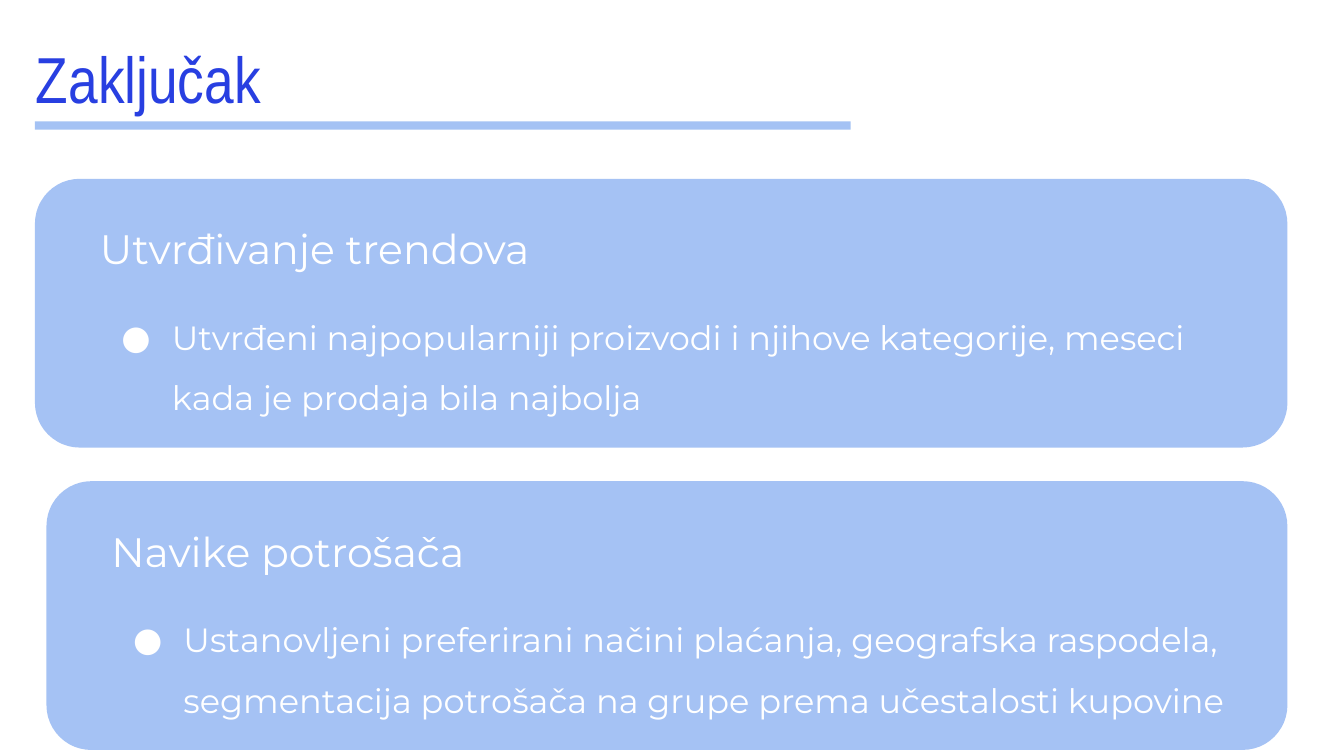
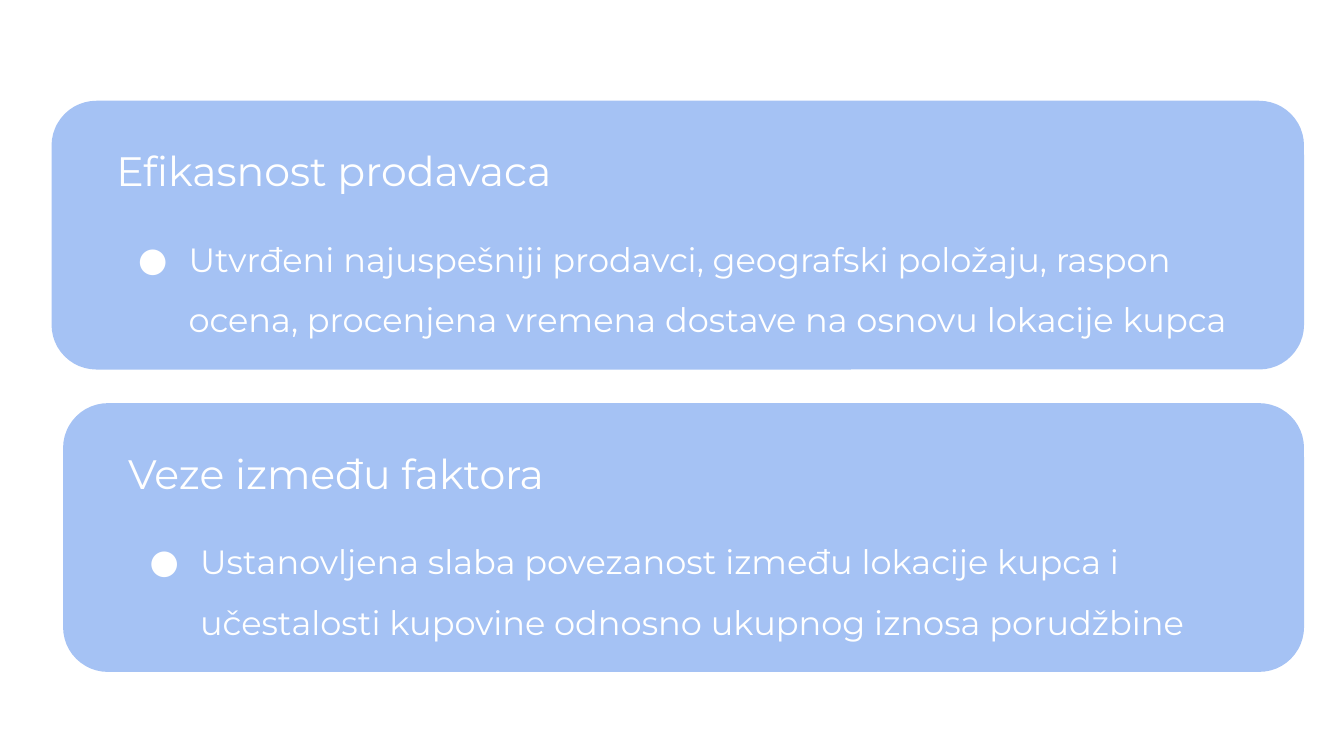
import pptx
import pptx.util
import pptx.dml.color
import pptx.enum.shapes
import pptx.enum.text
import pptx.oxml.ns
import lxml.etree

Pt = pptx.util.Pt
RGBColor = pptx.dml.color.RGBColor
SHAPES = pptx.enum.shapes.MSO_SHAPE

BLUE = RGBColor(0x28, 0x3F, 0xE1)
RULE = RGBColor(0xA4, 0xC2, 0xF4)
PANEL = RGBColor(0xA5, 0xC2, 0xF4)
WHITE = RGBColor(0xFF, 0xFF, 0xFF)

# Card layout: the second card sits lower and slightly indented
HIGH = 144
STEP = 162
SHIFT = 6.2
WIDE = 671


class Deck:
    """Holds the style and the current slide."""

    def __init__(self):
        self.prs = pptx.Presentation()
        self.prs.slide_width = Pt(720)
        self.prs.slide_height = Pt(405)
        self.slide = None

    def page(self):
        self.slide = self.prs.slides.add_slide(self.prs.slide_layouts[6])

    def block(self, kind, left, top, width, height, color):
        shape = self.slide.shapes.add_shape(
            kind, Pt(left), Pt(top), Pt(width), Pt(height))
        shape.shadow.inherit = False
        shape.fill.solid()
        shape.fill.fore_color.rgb = color
        shape.line.fill.background()
        return shape

    def text(self, words, left, top, width, height, size,
             font="Montserrat", color=WHITE, bullet=False):
        box = self.slide.shapes.add_textbox(
            Pt(left), Pt(top), Pt(width), Pt(height))
        frame = box.text_frame
        frame.word_wrap = True
        frame.margin_left = frame.margin_right = Pt(7.2)
        frame.margin_top = frame.margin_bottom = Pt(7.2)
        frame.text = words
        para = frame.paragraphs[0]
        if bullet:
            frame.auto_size = pptx.enum.text.MSO_AUTO_SIZE.SHAPE_TO_FIT_TEXT
            self.bullet(para)
        run = para.runs[0].font
        run.name, run.size, run.color.rgb = font, Pt(size), color

    def bullet(self, para):
        para.line_spacing = 1.5
        props = para._p.get_or_add_pPr()
        props.set("marL", str(Pt(36)))
        props.set("indent", str(-Pt(27)))
        name = pptx.oxml.ns.qn
        tint = lxml.etree.SubElement(props, name("a:buClr"))
        lxml.etree.SubElement(tint, name("a:srgbClr"), val=str(WHITE))
        lxml.etree.SubElement(props, name("a:buFont"), typeface="Montserrat")
        lxml.etree.SubElement(props, name("a:buChar"), char="●")

    def title(self, words):
        self.text(words, 12.2, 13.7, 671, 45.4, 34.8, "Arial Narrow", BLUE)
        self.block(SHAPES.RECTANGLE, 18.7, 65, 437, 4.5, RULE)

    def card(self, left, top, width, head, body):
        panel = self.block(
            SHAPES.ROUNDED_RECTANGLE, left, top, width, HIGH, PANEL)
        panel.adjustments[0] = 0.167
        self.text(head, left + 27.7, top + 17, 295, 76.3, 22)
        self.text(body, left + 30.3, top + 56, 634.3, 69, 18, bullet=True)

    def cards(self, left, top, items):
        for i, (head, body) in enumerate(items):
            inset = i * SHIFT
            self.card(left + inset, top + i * STEP, WIDE - inset, head, body)


def main():
    deck = Deck()

    # Slide 1: trends and habits
    deck.page()
    deck.title("Zaključak")
    deck.cards(18.7, 95.8, [
        ("Utvrđivanje trendova",
         "Utvrđeni najpopularniji proizvodi i njihove kategorije, "
         "meseci kada je prodaja bila najbolja"),
        ("Navike potrošača",
         "Ustanovljeni preferirani načini plaćanja, geografska raspodela, "
         "segmentacija potrošača na grupe prema učestalosti kupovine"),
    ])

    # Slide 2: sellers and links between factors
    deck.page()
    deck.cards(27.6, 54, [
        ("Efikasnost prodavaca",
         "Utvrđeni najuspešniji prodavci, geografski položaju, raspon "
         "ocena, procenjena vremena dostave na osnovu lokacije kupca"),
        ("Veze između faktora",
         "Ustanovljena slaba povezanost između lokacije kupca i "
         "učestalosti kupovine odnosno ukupnog iznosa porudžbine"),
    ])

    deck.prs.save("out.pptx")


if __name__ == "__main__":
    main()
